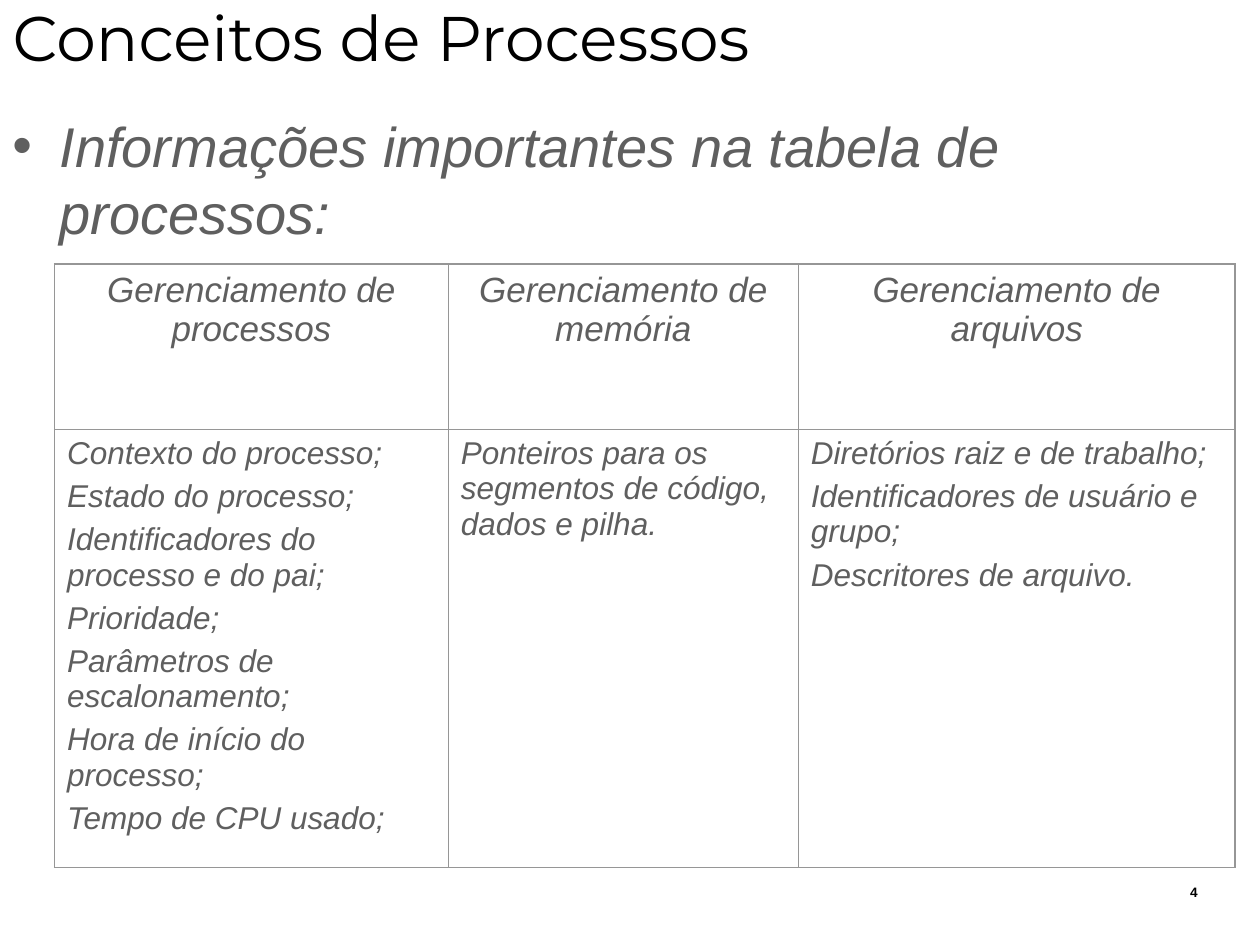
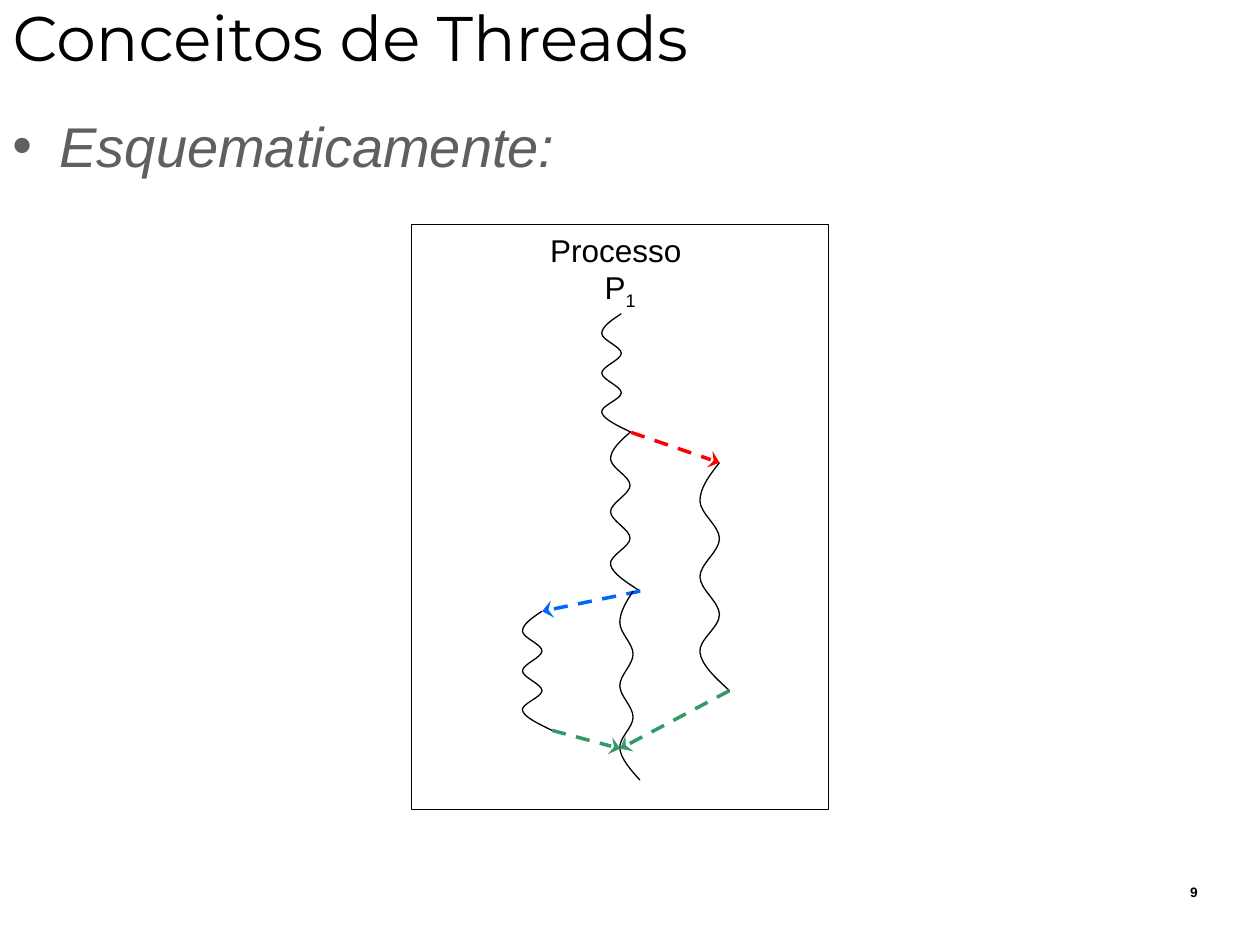
from lxml.etree import SubElement
from pptx import Presentation
from pptx.dml.color import RGBColor
from pptx.enum.dml import MSO_LINE
from pptx.enum.shapes import MSO_CONNECTOR, MSO_SHAPE
from pptx.enum.text import MSO_ANCHOR, MSO_AUTO_SIZE, PP_ALIGN
from pptx.oxml.ns import qn
from pptx.util import Pt

BLACK = RGBColor(0x00, 0x00, 0x00)
GRAY = RGBColor(0x5F, 0x5F, 0x5F)
BORDER = RGBColor(0x96, 0x96, 0x96)
RED = RGBColor(0xFF, 0x00, 0x00)
BLUE = RGBColor(0x00, 0x66, 0xFF)
GREEN = RGBColor(0x33, 0x99, 0x66)

# Horizontal places along a thread, as shares of its width: the start, then
# two control points and an end point for each of six curves.
WAVE_START = 0.68
WAVE = [
    0.36, 0.06, 0.06,
    0.06, 0.68, 0.68,
    0.68, 0.06, 0.06,
    0.06, 0.68, 0.68,
    0.68, 0, 0.06,
    0.12, 0.56, 1,
]


class Deck:
    text_font = "Arial"
    title_font = "Montserrat"

    def __init__(self):
        self.prs = Presentation()
        self.prs.slide_width, self.prs.slide_height = Pt(720), Pt(540)
        self.slide = None

    def format_runs(self, paragraph, size, color, font=text_font, italic=False, bold=False):
        for run in paragraph.runs:
            run.font.size = Pt(size)
            run.font.name = font
            run.font.italic = italic
            run.font.bold = bold
            run.font.color.rgb = color

    def start_slide(self, title, number):
        self.slide = self.prs.slides.add_slide(self.prs.slide_layouts[5])
        heading = self.slide.shapes.title
        heading.left, heading.top = Pt(0), Pt(-6)
        heading.width, heading.height = Pt(720), Pt(54)
        frame = heading.text_frame
        frame.text = title
        frame.auto_size = MSO_AUTO_SIZE.NONE
        frame.vertical_anchor = MSO_ANCHOR.MIDDLE
        frame.paragraphs[0].alignment = PP_ALIGN.LEFT
        self.format_runs(frame.paragraphs[0], 36, BLACK, self.title_font)
        page = self.text(541.5, 501.5, 150, 18, str(number))
        page.alignment = PP_ALIGN.RIGHT
        self.format_runs(page, 7.8, BLACK, bold=True)

    def text(self, left, top, width, height, content):
        box = self.slide.shapes.add_textbox(Pt(left), Pt(top), Pt(width), Pt(height))
        box.text_frame.word_wrap = True
        box.text_frame.text = content
        return box.text_frame.paragraphs[0]

    def bullet(self, content, height):
        paragraph = self.text(0, 60, 720, height, content)
        props = paragraph._p.get_or_add_pPr()
        props.set("marL", str(Pt(27)))
        props.set("indent", str(Pt(-27)))
        bullet_color = SubElement(props, qn("a:buClr"))
        SubElement(bullet_color, qn("a:srgbClr"), val=str(GRAY))
        SubElement(props, qn("a:buFont"), typeface=self.text_font)
        SubElement(props, qn("a:buChar"), char="•")
        self.format_runs(paragraph, 32, GRAY, italic=True)

    def table(self, left, top, widths, heights, rows):
        """Draw a bordered table; each cell is a list of paragraphs."""
        table = self.slide.shapes.add_table(
            len(rows), len(widths), Pt(left), Pt(top), Pt(sum(widths)), Pt(sum(heights))
        ).table
        table.first_row = table.horz_banding = False
        for column, width in zip(table.columns, widths):
            column.width = Pt(width)
        for r, (row, height) in enumerate(zip(rows, heights)):
            table.rows[r].height = Pt(height)
            for c, lines in enumerate(row):
                cell = table.cell(r, c)
                self.borders(cell, {
                    "L": c == 0, "R": c == len(widths) - 1,
                    "T": r == 0, "B": r == len(rows) - 1,
                })
                cell.fill.background()
                cell.text = "\n".join(lines)
                for i, paragraph in enumerate(cell.text_frame.paragraphs):
                    paragraph.alignment = PP_ALIGN.LEFT if r else PP_ALIGN.CENTER
                    if i:
                        paragraph.space_before = Pt(4.5)
                    self.format_runs(paragraph, 18 if r else 20, GRAY, italic=True)

    def borders(self, cell, outer_sides):
        props = cell._tc.get_or_add_tcPr()
        for side, is_outer in outer_sides.items():
            width = Pt(1.08 if is_outer else 0.45)
            line = SubElement(props, qn(f"a:ln{side}"), w=str(width))
            fill = SubElement(line, qn("a:solidFill"))
            SubElement(fill, qn("a:srgbClr"), val=str(BORDER))

    def outline(self, shape):
        shape.shadow.inherit = False
        shape.fill.background()
        shape.line.color.rgb = BLACK
        shape.line.width = Pt(0.75)

    def process_box(self, left, top, width, height, label, subscript):
        box = self.slide.shapes.add_shape(
            MSO_SHAPE.RECTANGLE, Pt(left), Pt(top), Pt(width), Pt(height))
        self.outline(box)
        frame = box.text_frame
        frame.word_wrap = False
        frame.vertical_anchor = MSO_ANCHOR.TOP
        frame.text = label
        paragraph = frame.paragraphs[0]
        paragraph.alignment = PP_ALIGN.CENTER
        index = paragraph.add_run()
        index.text = subscript
        self.format_runs(paragraph, 18, BLACK)
        index._r.get_or_add_rPr().set("baseline", "-25000")

    def thread(self, left, top, width, height):
        """Draw a wavy line running down through the given area."""
        points = [
            (Pt(left + width * x), Pt(top + height * i / len(WAVE)))
            for i, x in enumerate(WAVE, 1)
        ]
        builder = self.slide.shapes.build_freeform(Pt(left + width * WAVE_START), Pt(top))
        builder.add_line_segments(points, close=False)
        shape = builder.convert_to_shape()
        self.curve(shape)
        self.outline(shape)

    def curve(self, shape):
        """Turn every three straight segments into one Bezier curve."""
        segments = list(shape._element.iter(qn("a:lnTo")))
        outline = segments[0].getparent()
        for i in range(0, len(segments), 3):
            bezier = SubElement(outline, qn("a:cubicBezTo"))
            for segment in segments[i:i + 3]:
                bezier.append(segment[0])
                outline.remove(segment)

    def arrow(self, start, end, color):
        arrow = self.slide.shapes.add_connector(
            MSO_CONNECTOR.STRAIGHT, *(Pt(v) for v in start + end))
        arrow.line.color.rgb = color
        arrow.line.width = Pt(2)
        arrow.line.dash_style = MSO_LINE.DASH
        SubElement(arrow.line._get_or_add_ln(), qn("a:tailEnd"),
                   type="stealth", w="lg", len="med")
        SubElement(arrow._element.spPr, qn("a:effectLst"))


def process_slide(deck):
    deck.start_slide("Conceitos de Processos", 4)
    deck.bullet("Informações importantes na tabela de processos:", 96.5)
    headers = [[f"Gerenciamento de {area}"] for area in ("processos", "memória", "arquivos")]
    details = [
        [
            "Contexto do processo;",
            "Estado do processo;",
            "Identificadores do processo e do pai;",
            "Prioridade;",
            "Parâmetros de escalonamento;",
            "Hora de início do processo;",
            "Tempo de CPU usado;",
        ],
        ["Ponteiros para os segmentos de código, dados e pilha."],
        [
            "Diretórios raiz e de trabalho;",
            "Identificadores de usuário e grupo;",
            "Descritores de arquivo.",
        ],
    ]
    deck.table(31.2, 151, (225, 200, 249.7), (94.5, 249), (headers, details))


def thread_slide(deck):
    deck.start_slide("Conceitos de Threads", 9)
    deck.bullet("Esquematicamente:", 90.5)
    deck.process_box(235.2, 128.2, 238.3, 334.5, "Processo \vP", "1")

    first_fork, second_fork, join = (360.7, 247.1), (365.8, 337.8), (354.4, 427.8)
    right_start, right_end = (411.2, 264.4), (416.8, 394.7)
    left_start, left_end = (309.8, 349.3), (315.5, 417.4)

    deck.thread(342.8, 179.3, 18, 67.8)
    deck.thread(398.9, 264.4, 18, 130.3)
    deck.arrow(first_fork, right_start, RED)
    deck.thread(347.8, 247.1, 18, 90.7)
    deck.arrow(second_fork, left_start, BLUE)
    deck.thread(297.5, 349.3, 18, 68.1)
    deck.thread(353.5, 337.8, 12.2, 108)
    deck.arrow(left_end, join, GREEN)
    deck.arrow(right_end, join, GREEN)


def main():
    deck = Deck()
    process_slide(deck)
    thread_slide(deck)
    deck.prs.save("out.pptx")


if __name__ == "__main__":
    main()
